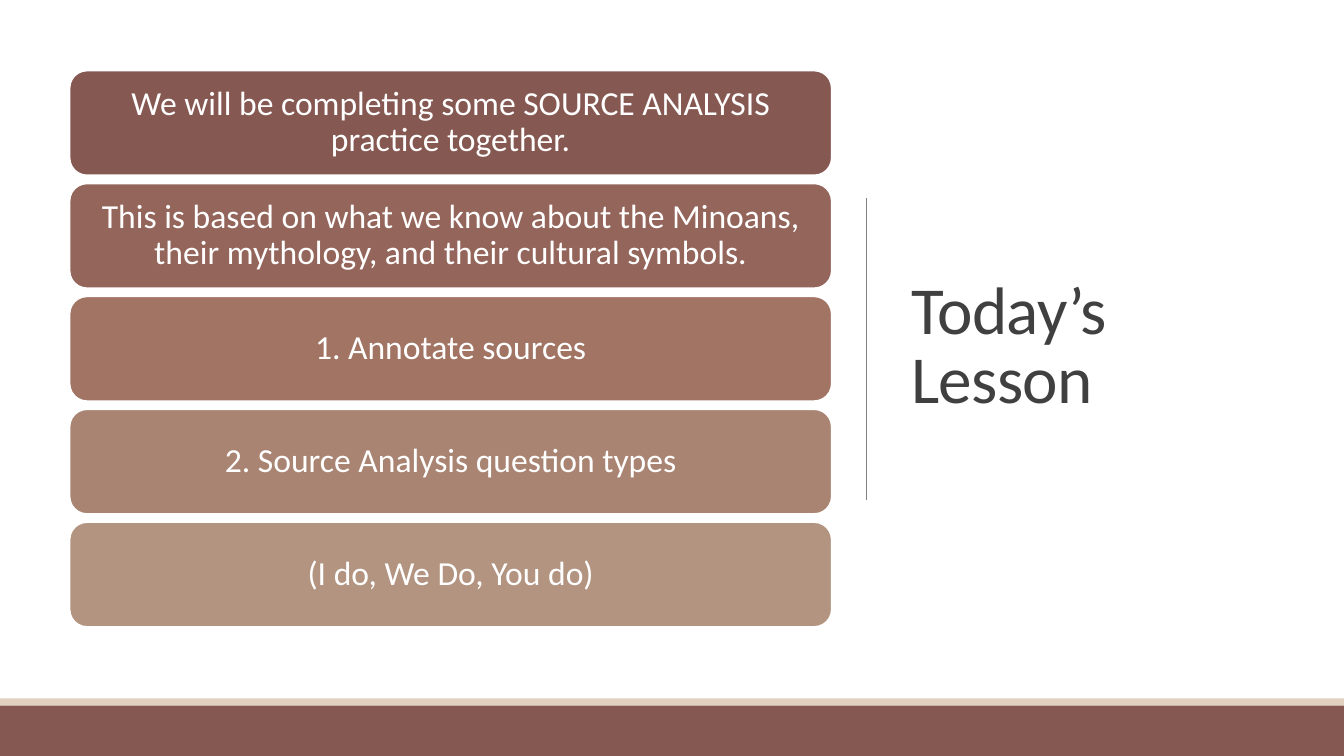
from dataclasses import dataclass

from lxml import etree
from pptx import Presentation
from pptx import util as u
from pptx.dml.color import RGBColor
from pptx.enum import shapes, text
from pptx.oxml import ns

WHITE = RGBColor(0xFF, 0xFF, 0xFF)
DARK = RGBColor(0x40, 0x40, 0x40)
GREY = RGBColor(0x80, 0x80, 0x80)
SAND = RGBColor(0xE1, 0xD2, 0xBF)
WINE = RGBColor(0x86, 0x58, 0x52)
RUST = RGBColor(0x94, 0x65, 0x5A)
CLAY = RGBColor(0xA1, 0x74, 0x64)
TAN = RGBColor(0xA9, 0x84, 0x72)
FAWN = RGBColor(0xB2, 0x94, 0x80)

FONT = "Calibri"
TOP, STEP = 0.7, 1.12


@dataclass
class Band:
    top: float
    height: float
    color: RGBColor


@dataclass
class Step:
    label: str
    color: RGBColor


BANDS = [Band(6.93, 0.07, SAND), Band(7, 0.5, WINE)]
STEPS = [
    Step("We will be completing some SOURCE ANALYSIS practice together.", WINE),
    Step("This is based on what we know about the Minoans, "
         "their mythology, and their cultural symbols.", RUST),
    Step("1. Annotate sources", CLAY),
    Step("2. Source Analysis question types", TAN),
    Step("(I do, We Do, You do)", FAWN),
]


def apply(item: object, form: dict) -> None:
    """Set each attribute of item from the format values."""
    for name, value in form.items():
        setattr(item, name, value)


def write(shape, label: str, size: float, color: RGBColor,
          align: text.PP_ALIGN, space: float) -> None:
    """Fill the shape with one formatted, vertically centred paragraph."""
    frame = shape.text_frame
    frame.text = label
    apply(frame, {"word_wrap": True, "auto_size": text.MSO_AUTO_SIZE.NONE,
                  "vertical_anchor": text.MSO_ANCHOR.MIDDLE})
    para = frame.paragraphs[0]
    apply(para, {"alignment": align, "line_spacing": space})
    font = para.runs[0].font
    apply(font, {"name": FONT, "size": u.Pt(size)})
    font.color.rgb = color


def add_box(slide, kind: shapes.MSO_SHAPE, left: float, top: float,
            width: float, height: float, color: RGBColor):
    box = slide.shapes.add_shape(kind, u.Inches(left), u.Inches(top),
                                 u.Inches(width), u.Inches(height))
    box.shadow.inherit = False
    box.fill.solid()
    box.fill.fore_color.rgb = color
    box.line.fill.background()
    return box


def add_step(slide, step: Step, top: float) -> None:
    box = add_box(slide, shapes.MSO_SHAPE.ROUNDED_RECTANGLE,
                  0.69, top, 7.56, 1.04, step.color)
    box.line.color.rgb = WHITE
    box.line.width = u.Pt(1.25)
    sides = ("left", "top", "right", "bottom")
    apply(box.text_frame, {f"margin_{side}": u.Inches(0.1) for side in sides})
    write(box, step.label, 24, WHITE, text.PP_ALIGN.CENTER, 0.9)


def add_title(slide) -> None:
    title = slide.shapes.title
    apply(title, {"left": u.Inches(8.94), "top": u.Inches(0.69),
                  "width": u.Inches(3.69), "height": u.Inches(5.53)})
    write(title, "Today’s Lesson", 48, DARK, text.PP_ALIGN.LEFT, 0.85)
    run = title.text_frame.paragraphs[0].runs[0]
    run.font._element.set("spc", "-50")


def add_rule(slide) -> None:
    rule = slide.shapes.add_connector(
        shapes.MSO_CONNECTOR.STRAIGHT, u.Inches(8.59), u.Inches(1.96),
        u.Inches(8.59), u.Inches(4.96))
    rule.line.color.rgb = GREY
    rule.line.width = u.Pt(0.5)
    etree.SubElement(rule._element.spPr, ns.qn("a:effectLst"))


def main() -> None:
    deck = Presentation()
    apply(deck, {"slide_width": u.Inches(13.33), "slide_height": u.Inches(7.5)})
    slide = deck.slides.add_slide(deck.slide_layouts[5])
    slide.background.fill.solid()
    slide.background.fill.fore_color.rgb = WHITE
    add_title(slide)
    add_rule(slide)
    for band in BANDS:
        add_box(slide, shapes.MSO_SHAPE.RECTANGLE,
                0, band.top, 13.33, band.height, band.color)
    for row, step in enumerate(STEPS):
        add_step(slide, step, TOP + row * STEP)
    deck.save("out.pptx")


if __name__ == "__main__":
    main()
